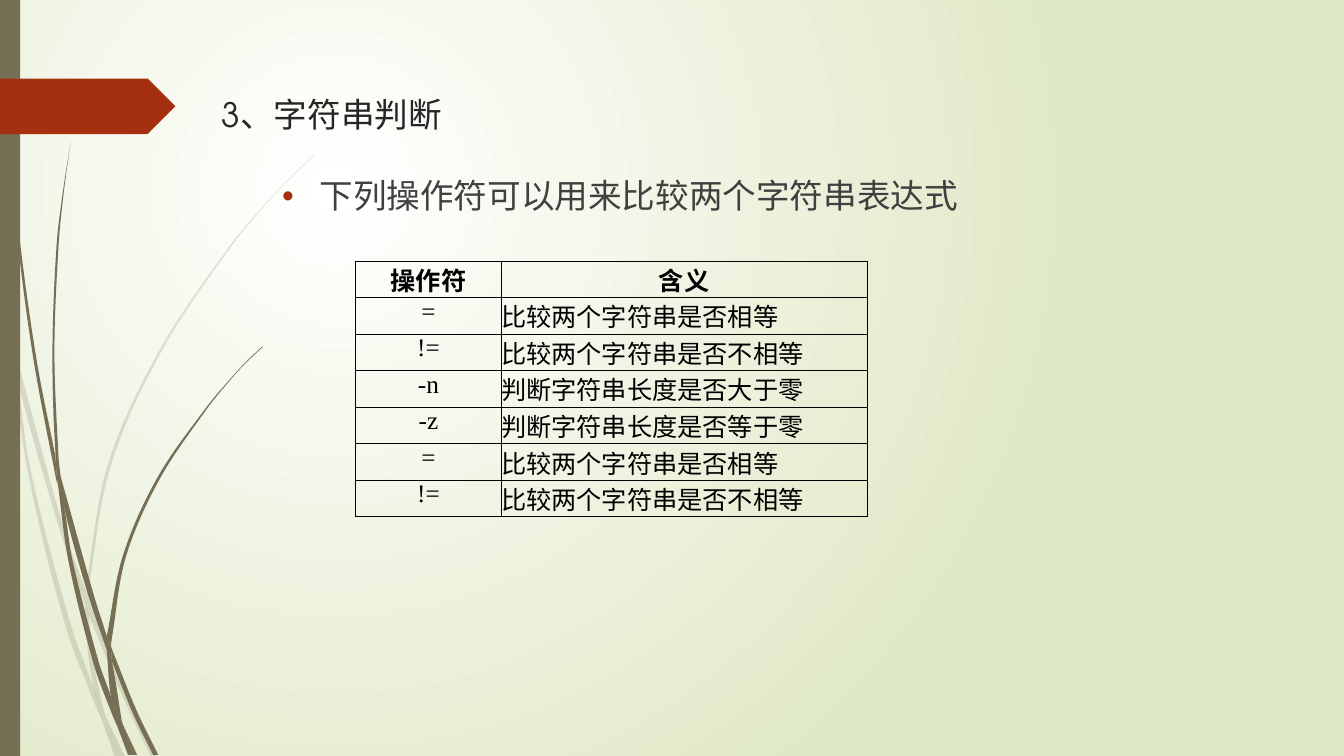
import math

import lxml.etree
import pptx
import pptx.dml.color
import pptx.enum.shapes
import pptx.enum.text
import pptx.oxml.ns
import pptx.util

Inches = pptx.util.Inches
qn = pptx.oxml.ns.qn
ALIGN = pptx.enum.text.PP_ALIGN
OLIVE, RED = "766F54", "A53010"
LATIN, CJK, SERIF = "TeX Gyre Adventor", "Noto Sans CJK SC", "Times New Roman"

FAINT_BLADES = [
    ([(0.11, 3.5), (0.09, 3.22), (0, 2.82)], [(0.11, 3.5), (0.1, 3.44), (0, 2.99)]),
    ([(0.14, 3.45), (0.17, 3.76), (0.58, 5.22), (0.84, 5.99)],
     [(0.14, 3.45), (0.62, 5.2), (0.85, 5.86)]),
    ([(0.88, 5.96), (0.92, 6.07), (1.27, 6.92), (1.55, 7.51)],
     [(0.88, 6.1), (1.23, 6.94), (1.5, 7.51)]),
    ([(1.05, 7.11), (1.19, 7.51)], [(1.05, 7.11), (1.24, 7.51)]),
    ([(0.11, 3.5), (0.17, 3.76), (0.31, 4.69), (0.7, 6.19), (0.93, 6.83), (0.99, 7.07)],
     [(0.11, 3.5), (0.28, 4.7), (0.65, 6.21), (0.92, 6.93), (1.01, 7.14)]),
    ([(0.84, 5.99), (0.87, 6.46), (0.93, 6.83), (0.96, 6.92), (1.05, 7.11)],
     [(0.84, 5.99), (0.88, 6.1), (0.91, 6.46), (1.03, 7.06), (1.05, 7.11)]),
    ([(3.12, 1.53), (2.89, 1.75), (2.68, 1.97), (2.28, 2.44), (1.58, 3.48), (1.07, 4.61),
      (0.85, 5.84)],
     [(3.12, 1.54), (2.9, 1.75), (2.68, 1.98), (2.29, 2.45), (1.6, 3.49), (1.1, 4.62),
      (0.88, 5.84), (0.88, 5.96)]),
    ([(1.01, 7.14), (1.14, 7.51)], [(1.01, 7.14), (1.19, 7.51)]),
    ([(0.85, 5.86), (0.84, 5.99)], [(0.88, 5.96), (0.88, 6.1)]),
    ([(0.93, 6.83), (0.99, 7.07), (1.01, 7.14), (1.19, 7.51)],
     [(0.93, 6.83), (0.96, 6.92), (1.05, 7.11), (1.19, 7.51)]),
]
DARK_BLADES = [
    ([(0.03, 0), (0.04, 0.48), (0.07, 1.1), (0.17, 2.33), (0.33, 3.55), (0.56, 4.77),
      (0.57, 4.81)],
     [(0.04, 0), (0.05, 0.48), (0.08, 1.09), (0.19, 2.32), (0.36, 3.55), (0.55, 4.53)]),
    ([(0.6, 4.72), (0.64, 5.05), (0.88, 5.92), (1.06, 6.45)],
     [(0.6, 4.72), (0.93, 5.9), (1.06, 6.31)]),
    ([(1.1, 6.41), (1.13, 6.49), (1.36, 7.06), (1.57, 7.49)],
     [(1.11, 6.56), (1.32, 7.08), (1.52, 7.49)]),
    ([(0.57, 4.77), (0.64, 5.05), (0.72, 5.56), (0.98, 6.57), (1.1, 6.91), (1.16, 7.17)],
     [(0.57, 4.77), (0.68, 5.57), (0.93, 6.59), (1.11, 7.08), (1.17, 7.22)]),
    ([(0.7, 1.41), (0.62, 1.93), (0.56, 2.45), (0.52, 3.49), (0.55, 4.49), (0.6, 4.72)],
     [(0.7, 1.41), (0.63, 1.93), (0.58, 2.45), (0.54, 3.49), (0.58, 4.53), (0.6, 4.72)]),
    ([(1.22, 7.19), (1.33, 7.49)], [(1.22, 7.19), (1.36, 7.49)]),
    ([(0.55, 4.49), (0.57, 4.77), (0.64, 5.05)], [(0.55, 4.49), (0.6, 4.72), (0.64, 5.05)]),
    ([(2.6, 3.44), (2.45, 3.58), (2.31, 3.73), (2.04, 4.05), (1.56, 4.74), (1.22, 5.51),
      (1.06, 6.31)],
     [(2.61, 3.44), (2.45, 3.59), (2.31, 3.74), (2.05, 4.06), (1.58, 4.76), (1.25, 5.52),
      (1.11, 6.33), (1.1, 6.41)]),
    ([(1.17, 7.22), (1.27, 7.49)], [(1.17, 7.22), (1.31, 7.49)]),
    ([(1.06, 6.45), (1.1, 6.91), (1.16, 7.06), (1.22, 7.19)],
     [(1.06, 6.45), (1.11, 6.56), (1.21, 7.16), (1.22, 7.19)]),
    ([(1.06, 6.31), (1.06, 6.45)], [(1.1, 6.41), (1.11, 6.56)]),
    ([(1.1, 6.91), (1.17, 7.22), (1.3, 7.49)],
     [(1.1, 6.91), (1.16, 7.06), (1.22, 7.19), (1.33, 7.49)]),
]
OPERATORS = [
    ("操作符", "含义"),
    ("=", "比较两个字符串是否相等"),
    ("!=", "比较两个字符串是否不相等"),
    ("-n", "判断字符串长度是否大于零"),
    ("-z", "判断字符串长度是否等于零"),
    ("=", "比较两个字符串是否相等"),
    ("!=", "比较两个字符串是否不相等"),
]


def color(value):
    """Turn a hex string into a colour."""
    return pptx.dml.color.RGBColor.from_string(value)


def add_xml(parent, tag, **attributes):
    """Append an element with the given attributes."""
    return lxml.etree.SubElement(parent, qn(tag), attributes)


def paint(shape, fill, alpha=100):
    """Give a shape a plain fill without line or shadow."""
    shape.shadow.inherit = False
    shape.line.fill.background()
    shape.fill.solid()
    shape.fill.fore_color.rgb = color(fill)
    if alpha < 100:
        tint = shape._element.spPr.find(qn("a:solidFill")).find(qn("a:srgbClr"))
        add_xml(tint, "a:alpha", val=str(alpha * 1000))


def format_text(paragraph, size, font, ink, bold=False):
    """Format every run of a paragraph."""
    for run in paragraph.runs:
        run.font.size = pptx.util.Pt(size)
        run.font.name = font
        run.font.bold = bold
        run.font.color.rgb = color(ink)
        add_xml(run._r.get_or_add_rPr(), "a:ea", typeface=CJK)


def draw_background(slide):
    """Fill the background with a radial glow."""
    fill = slide.background.fill
    fill.gradient()
    for stop, tone in zip(fill.gradient_stops, ("FFFFFF", "DFE8C4")):
        stop.color.rgb = color(tone)
    gradient = slide._element.find(".//" + qn("a:gradFill"))
    gradient.remove(gradient.find(qn("a:lin")))
    glow = add_xml(gradient, "a:path", path="circle")
    add_xml(glow, "a:fillToRect", l="50000", t="50000", r="100000", b="100000")


def curve_points(knots):
    """Return two control points and an end for each step of a smooth curve."""
    slopes = []
    for i in range(len(knots)):
        around = knots[max(i - 1, 0):i + 2]
        length = sum(math.dist(a, b) for a, b in zip(around, around[1:]))
        slopes.append([(b - a) / length for a, b in zip(around[0], around[-1])])
    points = []
    for start, end, leave, arrive in zip(knots, knots[1:], slopes, slopes[1:]):
        reach = math.dist(start, end) / 3
        points += [tuple(p + reach * s for p, s in zip(start, leave)),
                   tuple(p - reach * s for p, s in zip(end, arrive)), end]
    return points


def draw_grass(slide, left, top, blades, alpha):
    """Draw a clump of grass from curved blades, each between two edges."""
    clump = slide.shapes.add_group_shape()
    for near_edge, far_edge in blades:
        back = far_edge[::-1]
        join = [back[0]] * 3 if back[0] != near_edge[-1] else []
        outline = [(Inches(left + x), Inches(top + y)) for x, y in
                   near_edge[:1] + curve_points(near_edge) + join + curve_points(back)]
        builder = clump.shapes.build_freeform(*outline[0])
        builder.add_line_segments(outline[1:], close=True)
        blade = builder.convert_to_shape()
        segments = list(blade._element.iter(qn("a:lnTo")))
        for first, second, third in zip(segments[::3], segments[1::3], segments[2::3]):
            first.tag = qn("a:cubicBezTo")
            for segment in (second, third):
                first.append(segment[0])
                segment.getparent().remove(segment)
        paint(blade, OLIVE, alpha)


def draw_block(slide, kind, left, top, width, height, fill):
    """Draw one plain preset shape."""
    block = slide.shapes.add_shape(kind, Inches(left), Inches(top), Inches(width), Inches(height))
    paint(block, fill)


def draw_text(slide, left, top, width, height, text, ink, bullet=None):
    """Place one line of text, with an optional bullet colour."""
    box = slide.shapes.add_textbox(Inches(left), Inches(top), Inches(width), Inches(height))
    box.text_frame.word_wrap = True
    paragraph = box.text_frame.paragraphs[0]
    paragraph.text = text
    format_text(paragraph, 24, LATIN, ink)
    if bullet:
        paragraph.space_before = pptx.util.Pt(10)
        properties = paragraph._p.get_or_add_pPr()
        properties.set("marL", str(Inches(0.37)))
        properties.set("indent", str(Inches(-0.37)))
        add_xml(add_xml(properties, "a:buClr"), "a:srgbClr", val=bullet)
        add_xml(properties, "a:buFont", typeface="Arial")
        add_xml(properties, "a:buChar", char="•")


def draw_operators(slide, left, top, widths, height):
    """Build the table of string operators."""
    table = slide.shapes.add_table(len(OPERATORS), len(widths), Inches(left), Inches(top),
                                   Inches(sum(widths)), Inches(height)).table
    table.first_row = table.horz_banding = False
    for column, width in zip(table.columns, widths):
        column.width = Inches(width)
    for r, entry in enumerate(OPERATORS):
        table.rows[r].height = Inches(height / len(OPERATORS))
        for c, text in enumerate(entry):
            cell = table.cell(r, c)
            cell.margin_left = cell.margin_right = cell.margin_top = cell.margin_bottom = 0
            for side in "LRTB":
                line = add_xml(cell._tc.get_or_add_tcPr(), "a:ln" + side, w="9525")
                add_xml(add_xml(line, "a:solidFill"), "a:srgbClr", val="080000")
            cell.fill.background()
            paragraph = cell.text_frame.paragraphs[0]
            paragraph.text = text
            paragraph.alignment = ALIGN.CENTER if r == 0 or c == 0 else ALIGN.LEFT
            format_text(paragraph, 18, SERIF if r and c == 0 else CJK, "000000", r == 0)


def main():
    """Build and save the slide."""
    deck = pptx.Presentation()
    deck.slide_width, deck.slide_height = Inches(13.33), Inches(7.5)
    slide = deck.slides.add_slide(deck.slide_layouts[6])
    preset = pptx.enum.shapes.MSO_SHAPE
    draw_background(slide)
    draw_grass(slide, 0, 0, FAINT_BLADES, 20)
    draw_grass(slide, 0, 0, DARK_BLADES, 100)
    draw_block(slide, preset.RECTANGLE, 0, 0, 0.2, 7.5, OLIVE)
    draw_block(slide, preset.PENTAGON, 0, 0.78, 1.74, 0.55, RED)
    draw_text(slide, 2.1, 0.88, 9.75, 0.62, "3、字符串判断", "262626")
    draw_text(slide, 2.7, 1.69, 9.75, 0.72, "下列操作符可以用来比较两个字符串表达式", "404040", RED)
    draw_operators(slide, 3.53, 2.59, (1.44, 3.63), 2.54)
    deck.save("out.pptx")


if __name__ == "__main__":
    main()
